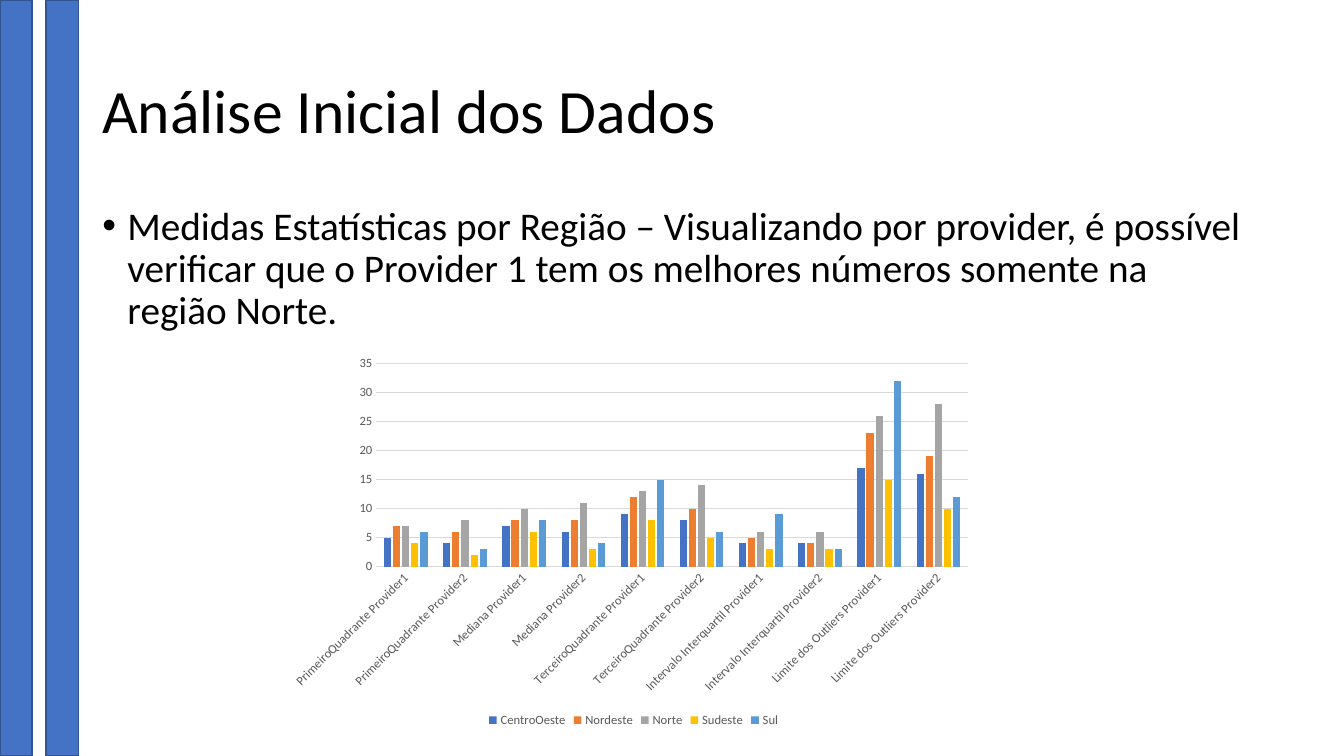
import pptx
import pptx.util
import pptx.dml.color
import pptx.chart.data
import pptx.enum.chart
import pptx.enum.shapes
import pptx.enum.text
import pptx.oxml

Pt = pptx.util.Pt
FONT = "Calibri"
GREY = "595959"
RULE = "D9D9D9"

STEPS = ["PrimeiroQuadrante", "Mediana", "TerceiroQuadrante",
         "Intervalo Interquartil", "Limite dos Outliers"]
CATS = [f"{step} Provider{n}" for step in STEPS for n in (1, 2)]
ZONES = [
    ("CentroOeste", "4472C4", [5, 4, 7, 6, 9, 8, 4, 4, 17, 16]),
    ("Nordeste", "ED7D31", [7, 6, 8, 8, 12, 10, 5, 4, 23, 19]),
    ("Norte", "A5A5A5", [7, 8, 10, 11, 13, 14, 6, 6, 26, 28]),
    ("Sudeste", "FFC000", [4, 2, 6, 3, 8, 5, 3, 3, 15, 10]),
    ("Sul", "5B9BD5", [6, 3, 8, 4, 15, 6, 9, 3, 32, 12]),
]


def tint(part, hue):
    """Give a fill, or a font's or line's own fill, a solid colour."""
    part.solid()
    part.fore_color.rgb = pptx.dml.color.RGBColor.from_string(hue)


def style(font, size, hue):
    font.name = FONT
    font.size = Pt(size)
    font.bold = False
    tint(font.fill, hue)


def stripes(slide, x, y, w, h):
    """Two upright bars at the edges of the box."""
    bar = 23
    for left in (x, x + w - bar):
        rect = slide.shapes.add_shape(
            pptx.enum.shapes.MSO_SHAPE.RECTANGLE, Pt(left), Pt(y), Pt(bar), Pt(h))
        rect.shadow.inherit = False
        tint(rect.fill, "4472C4")
        tint(rect.line.fill, "325491")
        rect.line.width = Pt(1)


def text(slide, x, y, w, h, words, size, anchor):
    box = slide.shapes.add_textbox(Pt(x), Pt(y), Pt(w), Pt(h))
    frame = box.text_frame
    frame.word_wrap = True
    frame.vertical_anchor = anchor
    para = frame.paragraphs[0]
    para.line_spacing = 0.9
    run = para.add_run()
    run.text = words
    style(run.font, size, "000000")
    return para


def bullet(para, indent):
    props = para._p.get_or_add_pPr()
    props.set("marL", str(Pt(indent)))
    props.set("indent", str(-Pt(indent)))
    space = pptx.oxml.ns.nsdecls("a")
    for tag in (f'<a:buFont {space} typeface="Arial"/>',
                f'<a:buChar {space} char="•"/>'):
        props.append(pptx.oxml.parse_xml(tag))


def chart(slide, x, y, w, h):
    kinds = pptx.enum.chart
    data = pptx.chart.data.CategoryChartData()
    data.categories = CATS
    for name, hue, vals in ZONES:
        data.add_series(name, vals)
    graph = slide.shapes.add_chart(
        kinds.XL_CHART_TYPE.COLUMN_CLUSTERED, Pt(x), Pt(y), Pt(w), Pt(h), data).chart
    style(graph.font, 10, "000000")
    graph.has_title = False

    # Columns
    plot = graph.plots[0]
    plot.vary_by_categories = False
    plot.gap_width = 219
    plot.overlap = -27
    for bars, (name, hue, vals) in zip(plot.series, ZONES):
        tint(bars.format.fill, hue)

    # Axes
    for axis in (graph.category_axis, graph.value_axis):
        axis.major_tick_mark = kinds.XL_TICK_MARK.NONE
        axis.minor_tick_mark = kinds.XL_TICK_MARK.NONE
        style(axis.tick_labels.font, 9, GREY)
    base, scale = graph.category_axis, graph.value_axis
    scale.minimum_scale, scale.maximum_scale, scale.major_unit = 0, 35, 5
    scale.format.line.fill.background()
    scale.has_major_gridlines = True
    for line in (base.format.line, scale.major_gridlines.format.line):
        tint(line.fill, RULE)
        line.width = Pt(0.75)

    # Automatic slant of the category labels
    turn = base._element.find(".//" + pptx.oxml.ns.qn("a:bodyPr"))
    turn.set("rot", "-60000000")
    turn.set("vert", "horz")

    # Legend
    graph.has_legend = True
    graph.legend.position = kinds.XL_LEGEND_POSITION.BOTTOM
    graph.legend.include_in_layout = False
    style(graph.legend.font, 9, GREY)


def main():
    deck = pptx.Presentation()
    deck.slide_width, deck.slide_height = Pt(960), Pt(540)
    slide = deck.slides.add_slide(deck.slide_layouts[6])
    anchor = pptx.enum.text.MSO_ANCHOR

    stripes(slide, 0, 0, 56, 540)
    text(slide, 66, 28.75, 552, 104.4, "Análise Inicial dos Dados", 44, anchor.MIDDLE)
    body = text(slide, 66, 143.75, 828, 342.6,
                "Medidas Estatísticas por Região – Visualizando por provider, é possível "
                "verificar que o Provider 1 tem os melhores números somente na região Norte.",
                28, anchor.TOP)
    body.space_before = Pt(10)
    bullet(body, 18)
    chart(slide, 201.6, 249, 502, 273.6)
    deck.save("out.pptx")


if __name__ == "__main__":
    main()
